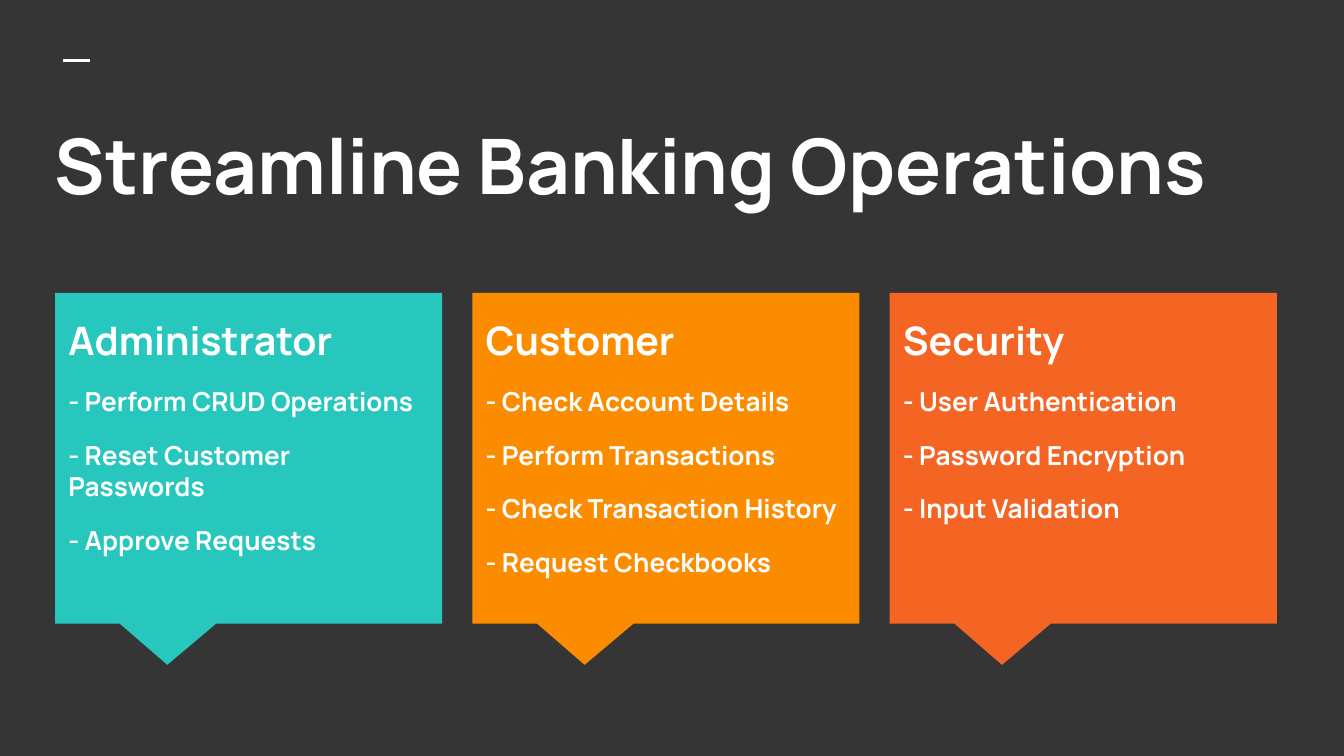
"""Builds a slide on banking operations with three role callouts."""
from pptx import Presentation
from pptx.dml.color import RGBColor
from pptx.enum import shapes, text
from pptx.oxml.ns import qn
from pptx.util import Inches, Pt
from lxml import etree

COLORS = {"background": "353535", "white": "FFFFFF", "teal": "27C7BD",
          "amber": "FB8C00", "orange": "F46524"}
FONT = "Manrope"
TITLE = "Streamline Banking Operations"
ROLES = [
    ("Administrator", "teal", ["Perform CRUD Operations", "Reset Customer Passwords",
                               "Approve Requests"]),
    ("Customer", "amber", ["Check Account Details", "Perform Transactions",
                           "Check Transaction History", "Request Checkbooks"]),
    ("Security", "orange", ["User Authentication", "Password Encryption",
                            "Input Validation"]),
]
FIRST_LEFT, LAST_LEFT, CARD_WIDTH = 0.41, 6.62, 2.88
PITCH = (LAST_LEFT - FIRST_LEFT) / (len(ROLES) - 1)


def color(name):
    return RGBColor.from_string(COLORS[name])


def add_text(slide, box, lines):
    frame = slide.shapes.add_textbox(*map(Inches, box)).text_frame
    frame.word_wrap = True
    frame.vertical_anchor = text.MSO_ANCHOR.TOP
    frame.margin_left = frame.margin_right = Inches(0.1)
    frame.margin_top = frame.margin_bottom = Inches(0.1)
    frame.text = "\n".join(line for line, size, before in lines)
    for paragraph, (line, size, before) in zip(frame.paragraphs, lines):
        paragraph.space_before = Pt(before)
        font = paragraph.runs[0].font
        font.name, font.size, font.bold = FONT, Pt(size), True
        font.color.rgb = color("white")


def add_callout(slide, left, fill):
    callout = slide.shapes.add_shape(
        shapes.MSO_SHAPE.RECTANGULAR_CALLOUT,
        *map(Inches, (left, 2.18, CARD_WIDTH, 2.46)))
    callout.adjustments[0], callout.adjustments[1] = -0.21, 5 / 8
    callout.shadow.inherit = False
    callout.fill.solid()
    callout.fill.fore_color.rgb = color(fill)
    callout.line.fill.background()


def main():
    deck = Presentation()
    deck.slide_width = Inches(10)
    deck.slide_height = deck.slide_width * 9 // 16
    slide = deck.slides.add_slide(deck.slide_layouts[6])
    slide.background.fill.solid()
    slide.background.fill.fore_color.rgb = color("background")

    dash = slide.shapes.add_connector(
        shapes.MSO_CONNECTOR.STRAIGHT, *map(Inches, (0.47, 0.45, 0.67, 0.45)))
    dash.line.color.rgb = color("white")
    dash.line.width = Pt(1.5)
    etree.SubElement(dash.element.spPr, qn("a:effectLst"))

    add_text(slide, (0.31, 0.78, 9.43, 1.12), [(TITLE, 41, 0)])
    for index, (heading, fill, duties) in enumerate(ROLES):
        left = FIRST_LEFT + index * PITCH
        add_callout(slide, left, fill)
        lines = [(heading, 21, 0)] + [(f"- {duty}", 14, 12) for duty in duties]
        add_text(slide, (left, 2.25, CARD_WIDTH, 2.19), lines)
    deck.save("out.pptx")


if __name__ == "__main__":
    main()
